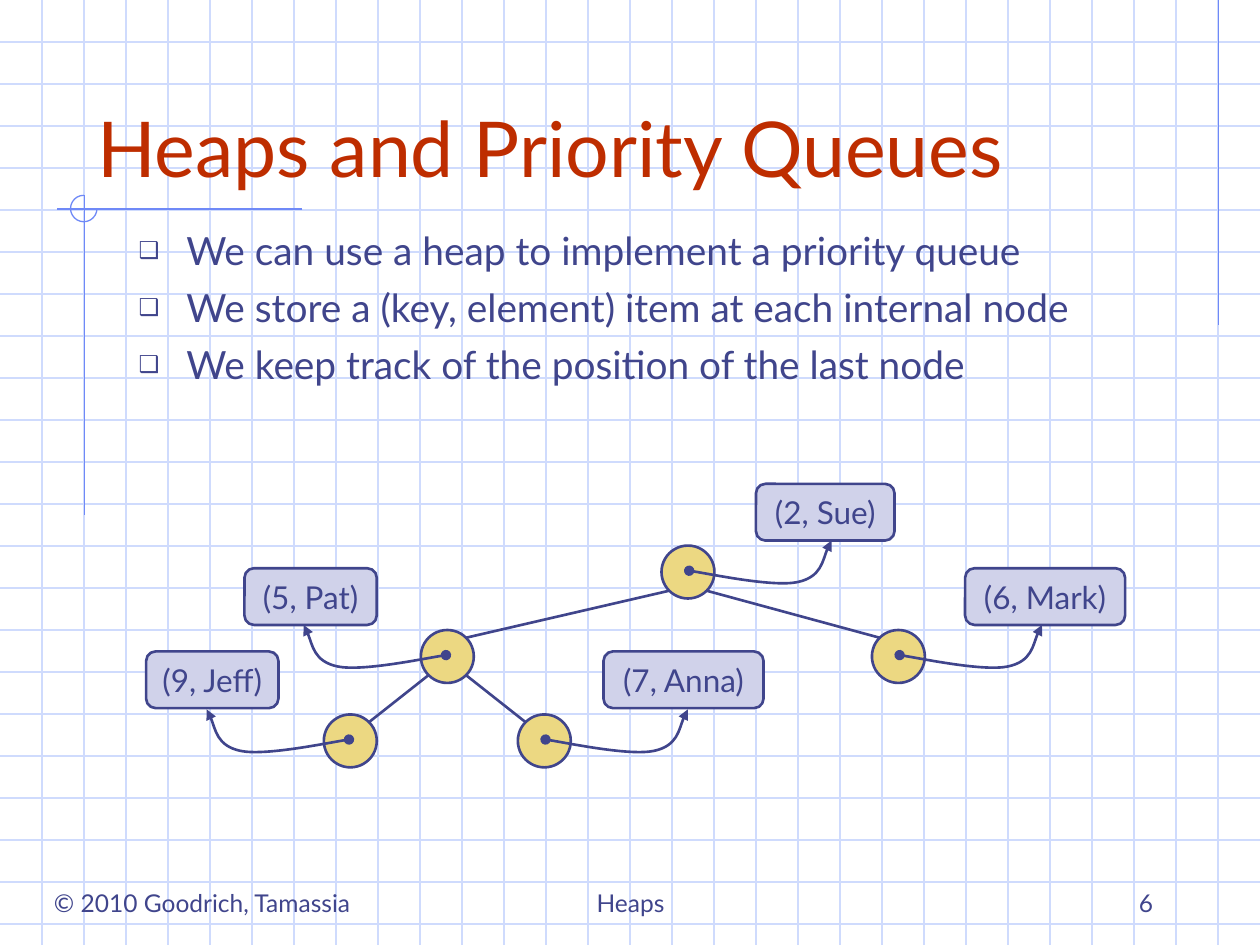
from math import sqrt

from lxml.etree import SubElement
from pptx import Presentation
from pptx.dml.color import RGBColor
from pptx.enum.shapes import MSO_CONNECTOR, MSO_SHAPE
from pptx.enum.text import MSO_ANCHOR, MSO_AUTO_SIZE, PP_ALIGN
from pptx.oxml.ns import qn
from pptx.util import Inches, Pt

FONT = "Lato"
COLORS = {"ink": "40458C", "title": "BE2D00", "grid": "CFDBFD", "rule": "6F89F7",
          "node": "ECD882", "label": "D0D2EA"}
WIDTH, HEIGHT = 10, 7.5

TITLE = "Heaps and Priority Queues"
BULLETS = [
    "We can use a heap to implement a priority queue",
    "We store a (key, element) item at each internal node",
    "We keep track of the position of the last node",
]
FOOTERS = [  # text, left, width, alignment
    ("© 2010 Goodrich, Tamassia", 0.33, 2.92, PP_ALIGN.LEFT),
    ("Heaps", 3.42, 3.17, PP_ALIGN.CENTER),
    ("6", 7.17, 2.08, PP_ALIGN.RIGHT),
]
RULES = [(9.67, 0, 9.67, 2.58), (2.4, 1.66, 0.45, 1.66), (0.67, 1.55, 0.67, 4.09)]

# item: node centre, label left, top and width, side of the label, parent
HEAP = {
    "(2, Sue)": ((5.46, 4.54), (6, 3.84, 1.1), 1, None),
    "(5, Pat)": ((3.55, 5.21), (1.94, 4.51, 1.05), -1, "(2, Sue)"),
    "(6, Mark)": ((7.13, 5.21), (7.66, 4.51, 1.27), 1, "(2, Sue)"),
    "(9, Jeff)": ((2.78, 5.88), (1.16, 5.17, 1.05), -1, "(5, Pat)"),
    "(7, Anna)": ((4.32, 5.88), (4.79, 5.17, 1.27), 1, "(5, Pat)"),
}
NODE_SIZE = 0.42
LABEL_HEIGHT = 0.45
# Bezier points of a pointer to the right, measured from its start
POINTER = [(0.14, 0.02), (0.67, 0.13), (0.86, 0.09),
           (1.05, 0.05), (1.08, -0.17), (1.13, -0.24)]


def color(name):
    return RGBColor.from_string(COLORS[name])


def set_line(shape, name, width):
    shape.line.color.rgb = color(name)
    shape.line.width = Pt(width)


def set_font(para, size, name="ink"):
    para.font.name = FONT
    para.font.size = Pt(size)
    para.font.color.rgb = color(name)


def add_line(page, x1, y1, x2, y2, name, width=0.75):
    line = page.shapes.add_connector(
        MSO_CONNECTOR.STRAIGHT, Inches(x1), Inches(y1), Inches(x2), Inches(y2))
    set_line(line, name, width)
    SubElement(line.element.spPr, qn("a:effectLst"))


def add_shape(page, kind, left, top, width, height, fill=None, line="ink", weight=1.5):
    shape = page.shapes.add_shape(
        kind, Inches(left), Inches(top), Inches(width), Inches(height))
    shape.shadow.inherit = False
    if fill:
        shape.fill.solid()
        shape.fill.fore_color.rgb = color(fill)
    else:
        shape.fill.background()
    set_line(shape, line, weight)
    return shape


def add_background(page):
    for row in range(1, 23):
        add_line(page, 0, row / 3, WIDTH, row / 3, "grid")
    for column in range(1, 30):
        add_line(page, column / 3, 0, column / 3, HEIGHT, "grid")
    for rule in RULES:
        add_line(page, *rule, "rule")
    arc = add_shape(page, MSO_SHAPE.ARC, 0.56, 1.55, 0.21, 0.21, None, "rule", 0.75)
    arc.adjustments[0] = 0
    arc.adjustments[1] = 162  # 270 degrees, in units of 100000/60000 degree


def fill_title(page):
    title = page.shapes.title
    title.left, title.top = Inches(0.67), Inches(0.33)
    title.width, title.height = Inches(8.75), Inches(1.25)
    frame = title.text_frame
    frame.text = TITLE
    frame.auto_size = MSO_AUTO_SIZE.NONE
    frame.vertical_anchor = MSO_ANCHOR.BOTTOM
    para = frame.paragraphs[0]
    para.alignment = PP_ALIGN.LEFT
    set_font(para, 44, "title")
    page.shapes.element.append(title.element)  # in front of the grid


def fill_body(page):
    body = page.placeholders[1]
    body.left, body.top = Inches(1), Inches(1.75)
    body.width, body.height = Inches(8.42), Inches(1.83)
    frame = body.text_frame
    frame.text = "\n".join(BULLETS)
    frame.auto_size = MSO_AUTO_SIZE.NONE
    for para in frame.paragraphs:
        set_font(para, 22.2)
        para.space_before = Pt(6)
        properties = para._p.get_or_add_pPr()
        properties.set("marL", str(Inches(0.38)))
        properties.set("indent", str(-Inches(0.38)))
        size = SubElement(properties, qn("a:buSzPct"), val="60000")
        bullet = SubElement(properties, qn("a:buChar"), char="❑")
        before_font = properties.find(qn("a:defRPr"))
        if before_font is not None:
            before_font.addprevious(size)
            before_font.addprevious(bullet)
    page.shapes.element.append(body.element)


def add_footer(page, text, left, width, alignment):
    box = page.shapes.add_textbox(Inches(left), Inches(6.83), Inches(width), Inches(0.5))
    frame = box.text_frame
    frame.word_wrap = True
    frame.vertical_anchor = MSO_ANCHOR.BOTTOM
    frame.text = text
    para = frame.paragraphs[0]
    para.alignment = alignment
    set_font(para, 14)


def add_label(page, text, left, top, width):
    label = add_shape(page, MSO_SHAPE.ROUNDED_RECTANGLE, left, top, width,
                      LABEL_HEIGHT, "label")
    frame = label.text_frame
    frame.word_wrap = False
    frame.vertical_anchor = MSO_ANCHOR.MIDDLE
    frame.text = text
    para = frame.paragraphs[0]
    para.alignment = PP_ALIGN.CENTER
    set_font(para, 18)


def add_pointer(page, x, y, side):
    """Draw the curved arrow from a node to its label; side is 1 right, -1 left."""
    start_x, start_y = x + side * 0.01, y - 0.01
    points = [(Inches(start_x + side * dx), Inches(start_y + dy)) for dx, dy in POINTER]
    builder = page.shapes.build_freeform(Inches(start_x), Inches(start_y))
    builder.add_line_segments(points, close=False)
    pointer = builder.convert_to_shape()
    pointer.shadow.inherit = False
    pointer.fill.background()
    set_line(pointer, "ink", 1.5)
    # Every three straight segments become one Bezier segment
    segments = list(pointer.element.iter(qn("a:lnTo")))
    outline = segments[0].getparent()
    for first in range(0, len(segments), 3):
        curve = SubElement(outline, qn("a:cubicBezTo"))
        for segment in segments[first:first + 3]:
            curve.append(segment[0])
            outline.remove(segment)
    line = pointer.line._get_or_add_ln()
    SubElement(line, qn("a:headEnd"), type="oval")
    SubElement(line, qn("a:tailEnd"), type="triangle")


def add_heap(page):
    radius = NODE_SIZE / 2
    diagonal = radius / sqrt(2)
    for (x, y), _, _, parent in HEAP.values():
        add_shape(page, MSO_SHAPE.OVAL, x - radius, y - radius,
                  NODE_SIZE, NODE_SIZE, "node")
        if parent:
            parent_x, parent_y = HEAP[parent][0]
            shift = diagonal if x > parent_x else -diagonal
            add_line(page, parent_x + shift, parent_y + diagonal,
                     x - shift, y - diagonal, "ink", 1.5)
    for item, ((x, y), place, side, _) in HEAP.items():
        add_label(page, item, *place)
        add_pointer(page, x, y, side)


def main():
    deck = Presentation()
    deck.slide_width, deck.slide_height = Inches(WIDTH), Inches(HEIGHT)
    page = deck.slides.add_slide(deck.slide_layouts[1])
    add_background(page)
    fill_title(page)
    fill_body(page)
    add_heap(page)
    for footer in FOOTERS:
        add_footer(page, *footer)
    deck.save("out.pptx")


if __name__ == "__main__":
    main()
